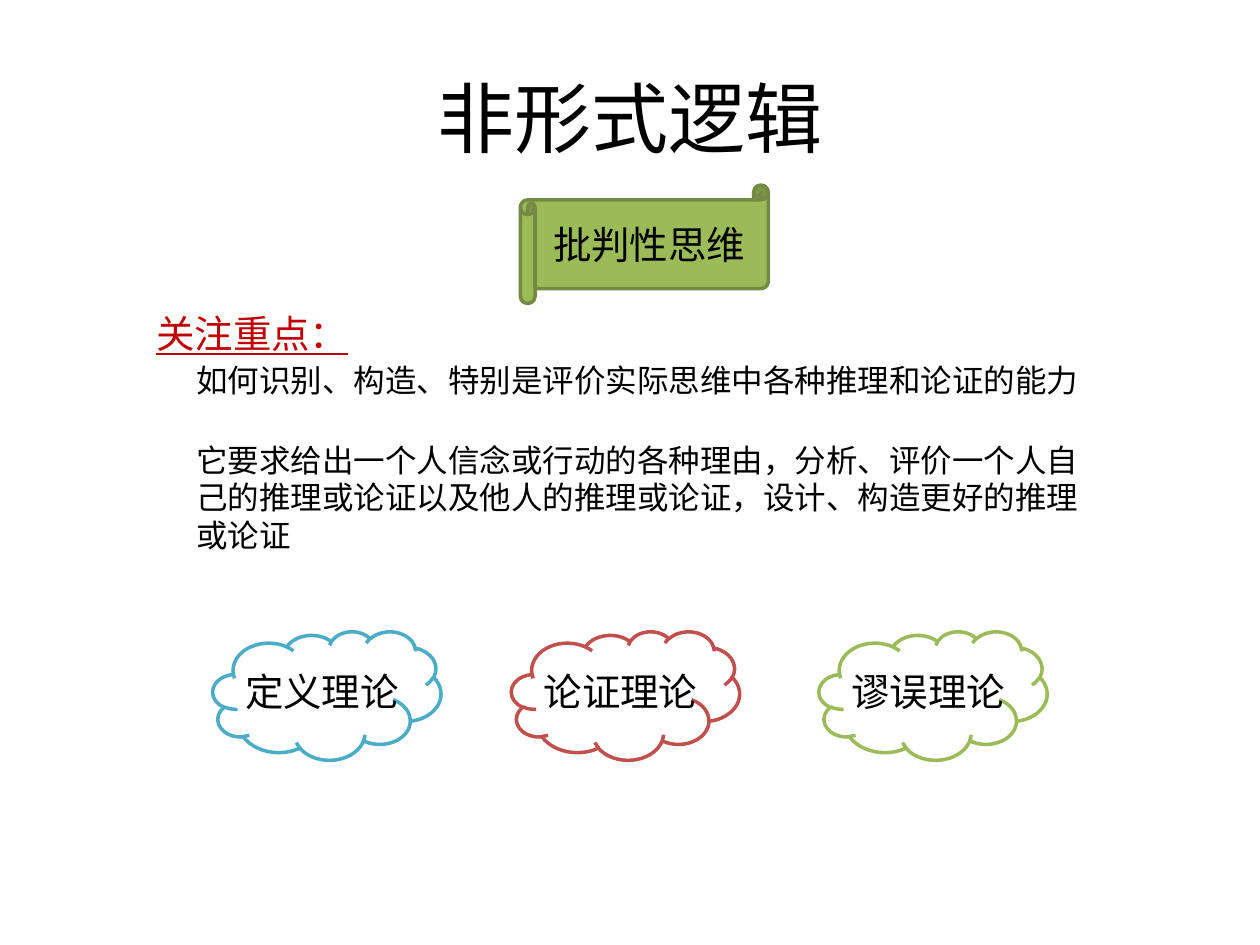
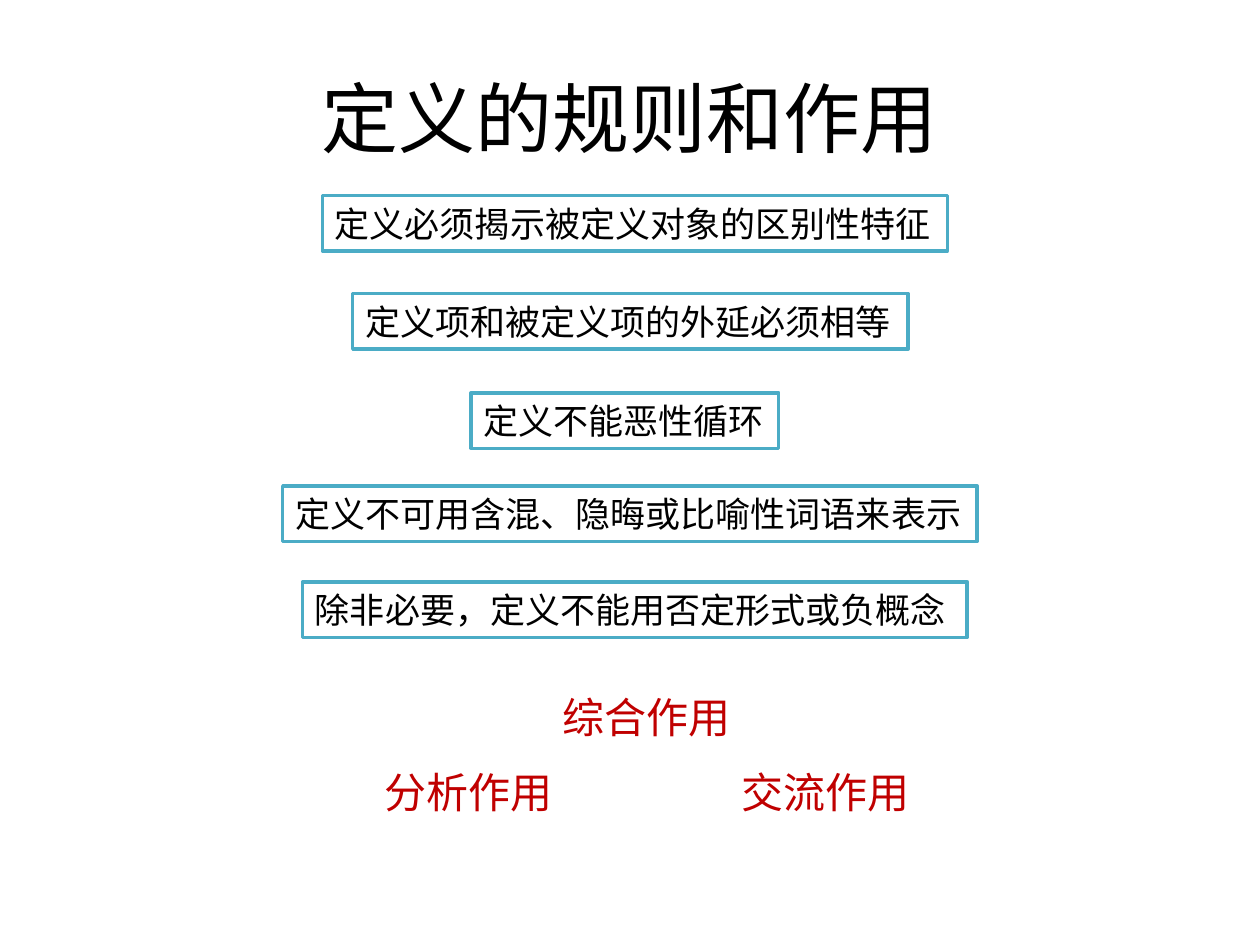
from dataclasses import dataclass
from lxml.etree import SubElement
from pptx import Presentation
from pptx.dml.color import RGBColor
from pptx.enum.shapes import MSO_SHAPE
from pptx.enum.text import MSO_ANCHOR, PP_ALIGN
from pptx.oxml.ns import qn
from pptx.util import Cm, Pt


@dataclass(frozen=True)
class Theme:
    ink: str = "000000"
    paper: str = "FFFFFF"
    red: str = "C00000"
    rose: str = "C0504D"
    blue: str = "4BACC6"
    green: str = "9BBB59"
    moss: str = "738A42"
    head: int = 44
    role: int = 24
    label: int = 22
    rule: int = 20
    note: int = 18
    line: int = 2
    sans: str = "Noto Sans CJK SC"
    alt: str = "Noto Sans CJK JP"


theme = Theme()


def write(shape, text, size, color=theme.ink, face=theme.sans, align=PP_ALIGN.LEFT):
    """Fill a shape with one paragraph of text."""
    frame = shape.text_frame
    frame.word_wrap = True
    frame.vertical_anchor = MSO_ANCHOR.MIDDLE
    frame.text = text
    para = frame.paragraphs[0]
    para.alignment = align
    para.line_spacing = Pt(size * 1.2)
    font = para.font
    font.size = Pt(size)
    font.color.rgb = RGBColor.from_string(color)
    font.name = face
    # East Asian face, beside the Latin one
    props = para._p.pPr.find(qn("a:defRPr"))
    SubElement(props, qn("a:ea"), typeface=face)
    return para


def draw(shapes, kind, place, fill, edge):
    """Add an outlined preset shape."""
    shape = shapes.add_shape(kind, *map(Cm, place))
    shape.shadow.inherit = False
    shape.fill.solid()
    shape.fill.fore_color.rgb = RGBColor.from_string(fill)
    shape.line.color.rgb = RGBColor.from_string(edge)
    shape.line.width = Pt(theme.line)
    return shape


deck = Presentation()
deck.slide_width, deck.slide_height = Cm(25.4), Cm(19.05)

# Slides and their titles
pages = []
for text in ("非形式逻辑", "定义的规则和作用"):
    page = deck.slides.add_slide(deck.slide_layouts[5])
    write(page.shapes.title, text, theme.head, face=theme.alt, align=PP_ALIGN.CENTER)
    pages.append(page.shapes)
logic, rules = pages

# Scroll with the main theme
group = logic.add_group_shape().shapes
draw(group, MSO_SHAPE.HORIZONTAL_SCROLL, (10.49, 3.73, 5, 2.39), theme.green, theme.moss)
box = group.add_textbox(Cm(10.9), Cm(4.32), Cm(5), Cm(1.19))
write(box, "批判性思维", theme.label)

# Focus heading and notes
box = logic.add_textbox(Cm(2.9), Cm(6.12), Cm(4.6), Cm(1.19))
write(box, "关注重点：", theme.label, theme.red).font.underline = True
notes = (
    (7.14, 19, 1.02, "如何识别、构造、特别是评价实际思维中各种推理和论证的能力"),
    (8.74, 18.6, 2.57, "它要求给出一个人信念或行动的各种理由，分析、评价一个人自己的"
     "推理或论证以及他人的推理或论证，设计、构造更好的推理或论证"),
)
for top, width, height, text in notes:
    box = logic.add_textbox(Cm(3.71), Cm(top), Cm(width), Cm(height))
    write(box, text, theme.note)

# Clouds with the three theories
clouds = (
    (4.29, theme.blue, "定义理论"),
    (10.31, theme.rose, "论证理论"),
    (16.51, theme.green, "谬误理论"),
)
for left, edge, text in clouds:
    group = logic.add_group_shape().shapes
    draw(group, MSO_SHAPE.CLOUD, (left, 12.73, 4.6, 2.59), theme.paper, edge)
    box = group.add_textbox(Cm(left + 0.4), Cm(13.34), Cm(4), Cm(1.19))
    write(box, text, theme.label, face=theme.alt)

# Framed rules of definition
frames = (
    (6.5, 3.94, 12.6, "定义必须揭示被定义对象的区别性特征"),
    (7.11, 5.92, 11.2, "定义项和被定义项的外延必须相等"),
    (9.5, 7.92, 6.2, "定义不能恶性循环"),
    (5.7, 9.8, 14, "定义不可用含混、隐晦或比喻性词语来表示"),
    (6.1, 11.73, 13.4, "除非必要，定义不能用否定形式或负概念"),
)
for left, top, width, text in frames:
    box = draw(rules, MSO_SHAPE.RECTANGLE, (left, top, width, 1.12), theme.paper, theme.blue)
    write(box, text, theme.rule)

# Roles of definition
roles = ((11.1, 13.82, "综合作用"), (7.5, 15.32, "分析作用"), (14.7, 15.32, "交流作用"))
for left, top, text in roles:
    box = rules.add_textbox(Cm(left), Cm(top), Cm(5.4), Cm(1.27))
    write(box, text, theme.role, theme.red)

deck.save("out.pptx")
